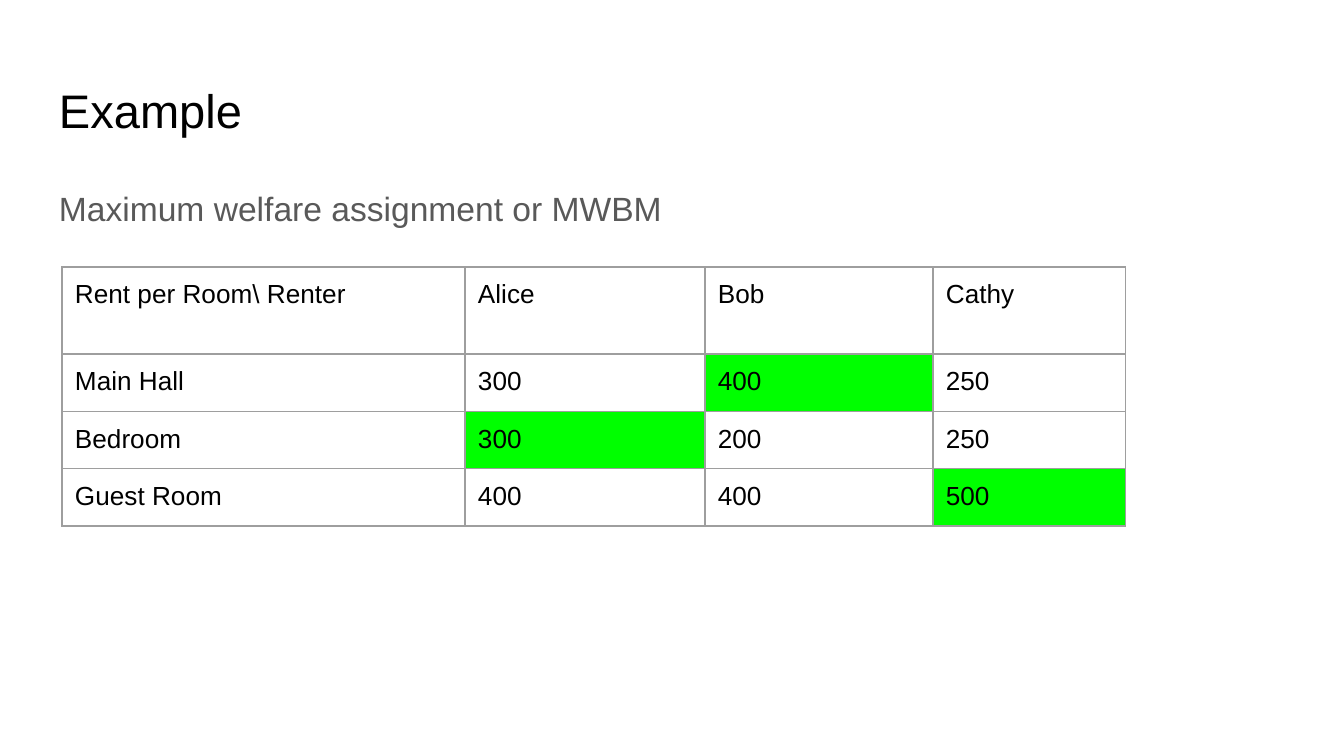
"""Build a slide showing the maximum welfare assignment of rooms to renters."""
from dataclasses import dataclass

from lxml import etree
from pptx import Presentation
from pptx.dml.color import RGBColor
from pptx.enum.text import MSO_ANCHOR
from pptx.oxml.ns import qn
from pptx.slide import Slide
from pptx.table import _Cell
from pptx.text.text import _Paragraph
from pptx.util import Emu, Pt

TOP = MSO_ANCHOR.TOP
BOTTOM = MSO_ANCHOR.BOTTOM

BLACK = RGBColor(0x00, 0x00, 0x00)
GRAY = RGBColor(0x59, 0x59, 0x59)
BORDER = RGBColor(0x9E, 0x9E, 0x9E)
GREEN = RGBColor(0x00, 0xFF, 0x00)

FONT = "Arial"
EMU_PER_PX = 914400 / 134.4
INSET = 13
BORDER_WIDTH = Pt(0.75)
CELL_SIZE = 14

COLUMN_WIDTHS = (403, 240, 228, 193)
ROW_HEIGHTS = (87, 56, 56, 56)
RENTS = (
    ("Rent per Room\\ Renter", "Alice", "Bob", "Cathy"),
    ("Main Hall", "300", "400", "250"),
    ("Bedroom", "300", "200", "250"),
    ("Guest Room", "400", "400", "500"),
)
ASSIGNED = {(1, 2), (2, 1), (3, 3)}


@dataclass(frozen=True)
class TextBlock:
    text: str
    top: int
    height: int
    size: float
    color: RGBColor
    anchor: MSO_ANCHOR
    line_spacing: float = 1.0
    left: int = 46
    width: int = 1252


TEXT_BLOCKS = (
    TextBlock("Example", 66, 85, 25.2, BLACK, BOTTOM),
    TextBlock("Maximum welfare assignment or MWBM", 169, 503, 18, GRAY, TOP, 1.15),
)


def px(length: int) -> Emu:
    return Emu(round(length * EMU_PER_PX))


def style_paragraph(paragraph: _Paragraph, size: float, color: RGBColor) -> None:
    paragraph.font.name = FONT
    paragraph.font.size = Pt(size)
    paragraph.font.color.rgb = color


def set_insets(container) -> None:
    for side in ("left", "right", "top", "bottom"):
        setattr(container, f"margin_{side}", px(INSET))


def add_text_block(slide: Slide, block: TextBlock) -> None:
    shape = slide.shapes.add_textbox(
        px(block.left), px(block.top), px(block.width), px(block.height)
    )
    frame = shape.text_frame
    frame.word_wrap = True
    frame.vertical_anchor = block.anchor
    set_insets(frame)
    paragraph = frame.paragraphs[0]
    paragraph.text = block.text
    paragraph.line_spacing = block.line_spacing
    style_paragraph(paragraph, block.size, block.color)


def add_borders(cell: _Cell) -> None:
    properties = cell._tc.get_or_add_tcPr()
    for tag in ("a:lnL", "a:lnR", "a:lnT", "a:lnB"):
        line = etree.SubElement(properties, qn(tag), w=str(BORDER_WIDTH))
        fill = etree.SubElement(line, qn("a:solidFill"))
        etree.SubElement(fill, qn("a:srgbClr"), val=str(BORDER))


def fill_cell(cell: _Cell, text: str, assigned: bool) -> None:
    cell.text = text
    set_insets(cell)
    cell.vertical_anchor = TOP
    style_paragraph(cell.text_frame.paragraphs[0], CELL_SIZE, BLACK)
    add_borders(cell)
    if assigned:
        cell.fill.solid()
        cell.fill.fore_color.rgb = GREEN
    else:
        cell.fill.background()


def add_rent_table(slide: Slide, left: int, top: int) -> None:
    table = slide.shapes.add_table(
        len(ROW_HEIGHTS), len(COLUMN_WIDTHS), px(left), px(top),
        px(sum(COLUMN_WIDTHS)), px(sum(ROW_HEIGHTS)),
    ).table
    table.first_row = False
    table.horz_banding = False
    for column, width in zip(table.columns, COLUMN_WIDTHS):
        column.width = px(width)
    for row, height in zip(table.rows, ROW_HEIGHTS):
        row.height = px(height)
    for row_index, values in enumerate(RENTS):
        for column_index, text in enumerate(values):
            position = (row_index, column_index)
            fill_cell(table.cell(*position), text, position in ASSIGNED)


def main() -> None:
    presentation = Presentation()
    presentation.slide_width = px(1344)
    presentation.slide_height = px(756)
    slide = presentation.slides.add_slide(presentation.slide_layouts[6])
    for block in TEXT_BLOCKS:
        add_text_block(slide, block)
    add_rent_table(slide, left=62, top=267)
    presentation.save("out.pptx")


if __name__ == "__main__":
    main()
